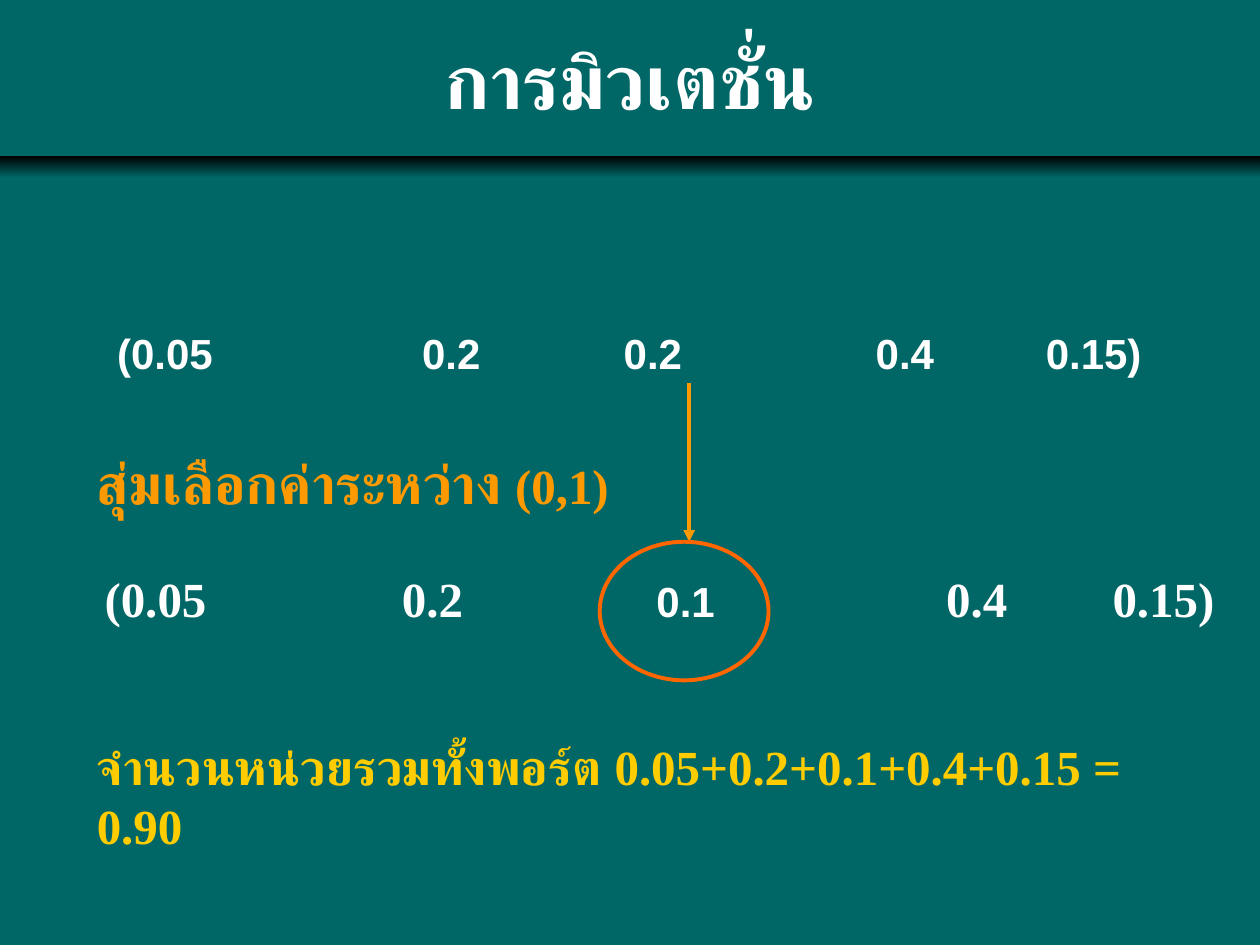
import pptx
import pptx.dml.color
import pptx.enum.shapes
import pptx.enum.text
import pptx.oxml
import pptx.oxml.ns
import pptx.util
from lxml import etree

Inches, Pt = pptx.util.Inches, pptx.util.Pt
RGBColor = pptx.dml.color.RGBColor
MSO_ANCHOR = pptx.enum.text.MSO_ANCHOR
PP_ALIGN = pptx.enum.text.PP_ALIGN
qn = pptx.oxml.ns.qn

TEAL = RGBColor(0x00, 0x66, 0x66)
BLACK = RGBColor(0x00, 0x00, 0x00)
WHITE = RGBColor(0xFF, 0xFF, 0xFF)
ORANGE = RGBColor(0xFF, 0x99, 0x00)
RING = RGBColor(0xFF, 0x66, 0x00)
YELLOW = RGBColor(0xFF, 0xCC, 0x00)


def place(sp, box, left=0.1, top=0.05):
    sp.left, sp.top, sp.width, sp.height = [Inches(v) for v in box]
    tf = sp.text_frame
    tf.word_wrap = True
    tf.auto_size = pptx.enum.text.MSO_AUTO_SIZE.NONE
    tf.vertical_anchor = MSO_ANCHOR.TOP
    tf.margin_left, tf.margin_top = Inches(left), Inches(top)
    tf.margin_right, tf.margin_bottom = Inches(0.1), Inches(0.05)
    return tf


def write(p, runs, color, tabs=()):
    p.space_before = Pt(0)
    pPr = p._p.get_or_add_pPr()
    etree.SubElement(pPr, qn("a:buNone"))
    if tabs:
        tab_list = etree.SubElement(pPr, qn("a:tabLst"))
        for pos in tabs:
            etree.SubElement(tab_list, qn("a:tab"), pos=str(Inches(pos)), algn="l")
    for text, font, size in runs:
        r = p.add_run()
        r.text = text
        r.font.name, r.font.size, r.font.bold = font, Pt(size), True
        r.font.color.rgb = color


prs = pptx.Presentation()
prs.slide_width, prs.slide_height = Inches(10), Inches(7.5)

# Body text without a hanging indent, which would override the tab stops
for level in prs.slide_master.element.iterfind(".//" + qn("p:bodyStyle") + "/" + qn("a:lvl1pPr")):
    level.set("marL", "0")
    level.attrib.pop("indent", None)

s = prs.slides.add_slide(prs.slide_layouts[1])
s.background.fill.solid()
s.background.fill.fore_color.rgb = TEAL

# Shaded band under the title
band = s.shapes.add_shape(pptx.enum.shapes.MSO_SHAPE.RECTANGLE,
                          Inches(0), Inches(1.24), Inches(10), Inches(0.17))
band.shadow.inherit = False
band.line.fill.background()
band.fill.gradient()
band.fill.gradient_angle = 270
for stop, color, pos in zip(band.fill.gradient_stops, (BLACK, TEAL), (0, 1)):
    stop.color.rgb = color
    stop.position = pos

# Title
tf = place(s.shapes.title, (0.75, 0, 8.5, 1.25))
tf.vertical_anchor = MSO_ANCHOR.MIDDLE
write(tf.paragraphs[0], [("การมิวเตชั่น", "Montserrat", 44)], WHITE)
tf.paragraphs[0].alignment = PP_ALIGN.CENTER

# Weights before mutation
tf = place(s.placeholders[1], (0.25, 1.58, 9.5, 5.25), left=0.68, top=1.02)
write(tf.paragraphs[0], [("(0.05\t0.2\t0.2\t0.4\t0.15)", "Arial", 24)], WHITE,
      tabs=(2.42, 4.02, 6.02, 7.37))
tf.paragraphs[0].alignment = PP_ALIGN.LEFT

# Arrows
for x, y1, y2, color, width in ((5.47, 3.04, 4.3, ORANGE, 2.25),
                                (5.87, 3.99, 3.99, BLACK, 0.75)):
    arrow = s.shapes.add_connector(pptx.enum.shapes.MSO_CONNECTOR.STRAIGHT,
                                   Inches(x), Inches(y1), Inches(x), Inches(y2))
    arrow.line.color.rgb = color
    arrow.line.width = Pt(width)
    etree.SubElement(arrow.line._get_or_add_ln(), qn("a:tailEnd"), type="triangle")
    etree.SubElement(arrow._element.spPr, qn("a:effectLst"))

# Ring around the mutated weight
ring = s.shapes.add_shape(pptx.enum.shapes.MSO_SHAPE.OVAL,
                          Inches(4.76), Inches(4.3), Inches(1.34), Inches(1.1))
ring.shadow.inherit = False
ring.fill.background()
ring.line.color.rgb = RING
ring.line.width = Pt(2.25)

# Random draw, mutated weight, weights after mutation, total
SERIF = "Times New Roman"
texts = (
    ((0.67, 3.51, 4.73, 0.64), 0.1, 0.05,
     [("สุ่มเลือกค่าระหว่าง", SERIF, 32), (" (0,1)", SERIF, 28)], ORANGE, ()),
    ((4.92, 4.46, 1.34, 0.57), 0.29, 0.11, [("0.1", "Arial", 24)], WHITE, ()),
    ((0.47, 4.46, 9.53, 1.28), 0.36, 0.05,
     [("(0.05\t0.2\t0.4\t0.15)", SERIF, 28)], WHITE, (2.36, 6.68, 8.0)),
    ((0.67, 5.8, 8.5, 1.04), 0.1, 0.05,
     [("จำนวนหน่วยรวมทั้งพอร์ต 0.05+0.2+0.1+0.4+0.15 = 0.90", SERIF, 28)], YELLOW, ()),
)
for box, left, top, runs, color, tabs in texts:
    sp = s.shapes.add_textbox(0, 0, 0, 0)
    tf = place(sp, box, left, top)
    write(tf.paragraphs[0], runs, color, tabs)

prs.save("out.pptx")
